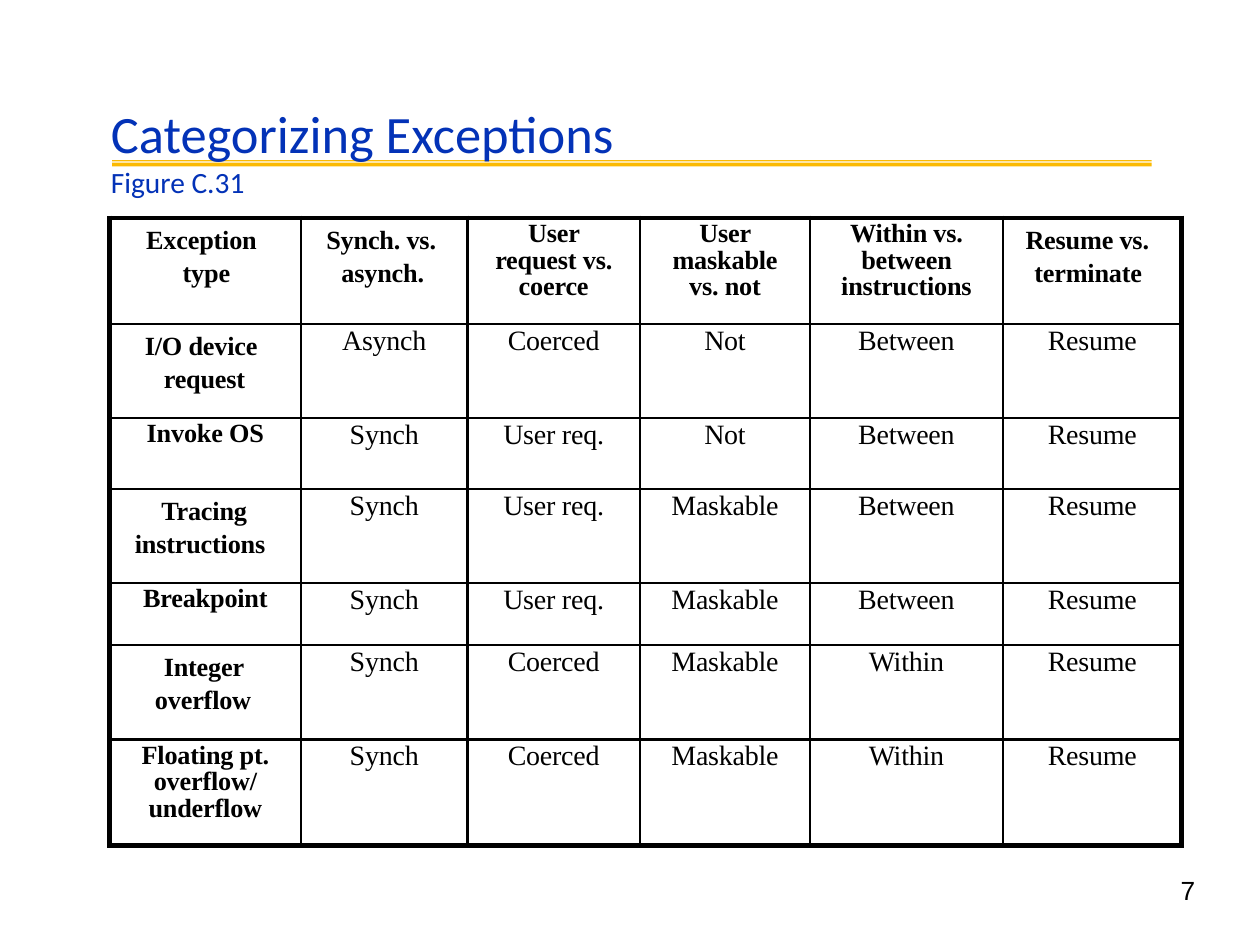
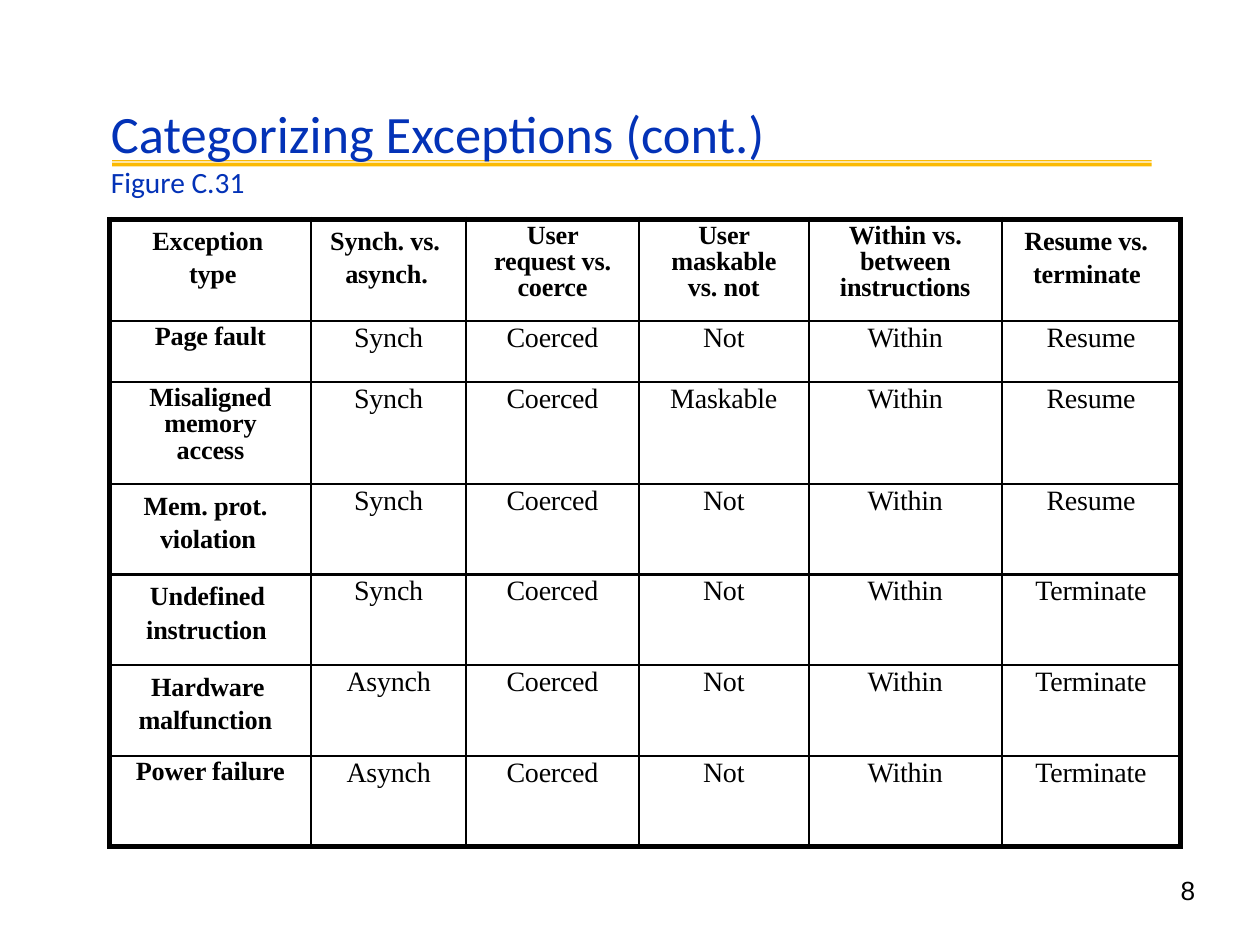
import pptx
import pptx.dml.color
import pptx.enum.text
import pptx.oxml
import pptx.oxml.ns
import pptx.util

Inches = pptx.util.Inches
Pt = pptx.util.Pt
ALIGN = pptx.enum.text.PP_ALIGN
ANCHOR = pptx.enum.text.MSO_ANCHOR

BLUE, GOLD, BLACK = "0332B7", "FBBA03", "000000"
INNER, OUTER = 1.5, 3
HANG_RIGHT = 0.15

COMMON_HEADERS = [
    ("User request vs. coerce", 0.19),
    ("User maskable vs. not", 0.23),
    ("Within vs. between instructions", 0.21),
    ("Resume vs. terminate", 0.25, -0.07),
]

SLIDES = [
    {
        "title": "Categorizing Exceptions",
        "number": "7",
        "top": 1.73,
        "cols": [1.52, 1.32, 1.37, 1.35, 1.53, 1.42],
        "rows": [0.84, 0.75, 0.56, 0.75, 0.49, 0.75, 0.84],
        "headers": [("Exception type", 0.58, -0.29), ("Synch. vs. asynch.", 0.32, -0.12)],
        "body": [
            (("I/O device request", 0.43, -0.15), "Asynch|Coerced|Not|Between|Resume"),
            (("Invoke OS",), "Synch|User req.|Not|Between|Resume"),
            (("Tracing instructions", 0.2, 0.21), "Synch|User req.|Maskable|Between|Resume"),
            (("Breakpoint",), "Synch|User req.|Maskable|Between|Resume"),
            (("Integer overflow", 0.36, 0.07), "Synch|Coerced|Maskable|Within|Resume"),
            (("Floating pt. overflow/ underflow", 0.21), "Synch|Coerced|Maskable|Within|Resume"),
        ],
    },
    {
        "title": "Categorizing Exceptions (cont.)",
        "number": "8",
        "top": 1.74,
        "cols": [1.6, 1.23, 1.37, 1.35, 1.53, 1.42],
        "rows": [0.81, 0.48, 0.81, 0.72, 0.72, 0.72, 0.72],
        "headers": [("Exception type", 0.63, -0.29), ("Synch. vs. asynch.", 0.27, -0.12)],
        "body": [
            (("Page fault",), "Synch|Coerced|Not|Within|Resume"),
            (("Misaligned memory access", 0.28), "Synch|Coerced|Maskable|Within|Resume"),
            (("Mem. prot. violation", 0.4, -0.13), "Synch|Coerced|Not|Within|Resume"),
            (("Undefined instruction", 0.29, 0.03), "Synch|Coerced|Not|Within|Terminate"),
            (("Hardware malfunction", 0.23, 0.1), "Asynch|Coerced|Not|Within|Terminate"),
            (("Power failure",), "Asynch|Coerced|Not|Within|Terminate"),
        ],
    },
]


def rgb(color):
    """Turn a hex string into a colour."""
    return pptx.dml.color.RGBColor.from_string(color)


def write(p, text, size, font, color=BLACK, bold=False, align=ALIGN.LEFT,
          spacing=None, left=0, right=0, indent=0, tracking=0):
    """Put one formatted run into a paragraph."""
    p.alignment = align
    if spacing:
        p.line_spacing = spacing
    pPr = p._p.get_or_add_pPr()
    for name, value in (("marL", left), ("marR", right), ("indent", indent)):
        pPr.set(name, str(Inches(value)))
    r = p.add_run()
    r.text = text
    r.font.size = Pt(size)
    r.font.name = font
    r.font.bold = bold
    r.font.color.rgb = rgb(color)
    if tracking:
        r._r.get_or_add_rPr().set("spc", str(tracking))


def add_text_box(s, x, y, w, h, top_inset=0, anchor=ANCHOR.TOP):
    """Add an empty wrapping text box and return its frame."""
    tf = s.shapes.add_textbox(Inches(x), Inches(y), Inches(w), Inches(h)).text_frame
    tf.word_wrap = True
    tf.margin_left = tf.margin_right = tf.margin_bottom = 0
    tf.margin_top = Inches(top_inset)
    tf.vertical_anchor = anchor
    return tf


def add_double_rule(s, x, y, w):
    """Draw the thin and thick gold lines under the title."""
    right = x + w
    outlines = [
        [(x, top), (right, top), (right, top + h), (x, top + h)]
        for top, h in ((y, 0.01), (y + 0.02, 0.03))
    ]
    outlines = [[(Inches(a), Inches(b)) for a, b in outline] for outline in outlines]
    builder = s.shapes.build_freeform(*outlines[0][0])
    builder.add_line_segments(outlines[0][1:], close=True)
    builder.move_to(*outlines[1][0])
    builder.add_line_segments(outlines[1][1:], close=True)
    sp = builder.convert_to_shape()
    sp.shadow.inherit = False
    sp.fill.solid()
    sp.fill.fore_color.rgb = rgb(GOLD)
    sp.line.fill.background()


def add_title(s, title, x, y, w, h):
    """Write the title and its figure reference."""
    tf = add_text_box(s, x, y, w, h, 0.01, ANCHOR.MIDDLE)
    write(tf.paragraphs[0], title, 30, "Calibri", BLUE, spacing=Pt(35.6), left=0.01)
    write(tf.add_paragraph(), "Figure C.31", 16.8, "Calibri", BLUE,
          spacing=Pt(19.8), left=0.01)


def set_borders(cell, widths):
    """Give a cell solid borders from a dict of side to points."""
    tcPr = cell._tc.get_or_add_tcPr()
    for i, side in enumerate("LRTB"):
        ln = pptx.oxml.parse_xml(
            f'<a:ln{side} {pptx.oxml.ns.nsdecls("a")} w="{Pt(widths[side])}">'
            f'<a:solidFill><a:srgbClr val="{BLACK}"/></a:solidFill></a:ln{side}>')
        tcPr.insert(i, ln)


def fill_cell(cell, text, side=0, indent=None, bold=True):
    """Write a cell, centred between side margins or hanging by an indent."""
    cell.margin_left = cell.margin_right = cell.margin_bottom = 0
    cell.margin_top = Inches(0.03 if side else 0.01)
    cell.fill.background()
    if indent is None:
        layout = {"align": ALIGN.CENTER, "left": side, "right": side,
                  "spacing": 0.91 if side else None}
    else:
        layout = {"left": side, "right": HANG_RIGHT, "indent": indent, "spacing": Pt(19)}
    write(cell.text_frame.paragraphs[0], text, 15 if bold else 16, "Times New Roman",
          bold=bold, tracking=-10, **layout)


def add_exception_table(s, spec_data, x, y):
    """Build the exception table with a heavy outer frame."""
    cols, rows = spec_data["cols"], spec_data["rows"]
    frame = s.shapes.add_table(len(rows), len(cols), Inches(x), Inches(y),
                               Inches(sum(cols)), Inches(sum(rows)))
    table = frame.table
    table.first_row = table.horz_banding = False
    for col, width in zip(table.columns, cols):
        col.width = Inches(width)
    for row, height in zip(table.rows, rows):
        row.height = Inches(height)

    for c, header in enumerate(spec_data["headers"] + COMMON_HEADERS):
        fill_cell(table.cell(0, c), *header)
    for r, (label, values) in enumerate(spec_data["body"], 1):
        fill_cell(table.cell(r, 0), *label)
        for c, value in enumerate(values.split("|"), 1):
            fill_cell(table.cell(r, c), value, bold=False)

    last_row, last_col = len(rows) - 1, len(cols) - 1
    for r in range(len(rows)):
        for c in range(len(cols)):
            on_edge = {"L": c == 0, "R": c == last_col, "T": r == 0, "B": r == last_row}
            set_borders(table.cell(r, c),
                        {k: OUTER if edge else INNER for k, edge in on_edge.items()})


def add_exception_slide(prs, content):
    """Add one slide with rule, title, page number and table."""
    s = prs.slides.add_slide(prs.slide_layouts[6])
    add_double_rule(s, 0.89, 1.27, 8.25)
    add_title(s, content["title"], 0.87, 0.79, 7.61, 0.8)
    tf = add_text_box(s, 9.37, 6.94, 0.33, 0.48)
    write(tf.paragraphs[0], content["number"], 15, "Arial")
    add_exception_table(s, content, 0.87, content["top"])


def main():
    """Build and save the presentation."""
    prs = pptx.Presentation()
    prs.slide_width, prs.slide_height = Inches(10), Inches(7.5)
    for content in SLIDES:
        add_exception_slide(prs, content)
    prs.save("out.pptx")


if __name__ == "__main__":
    main()
